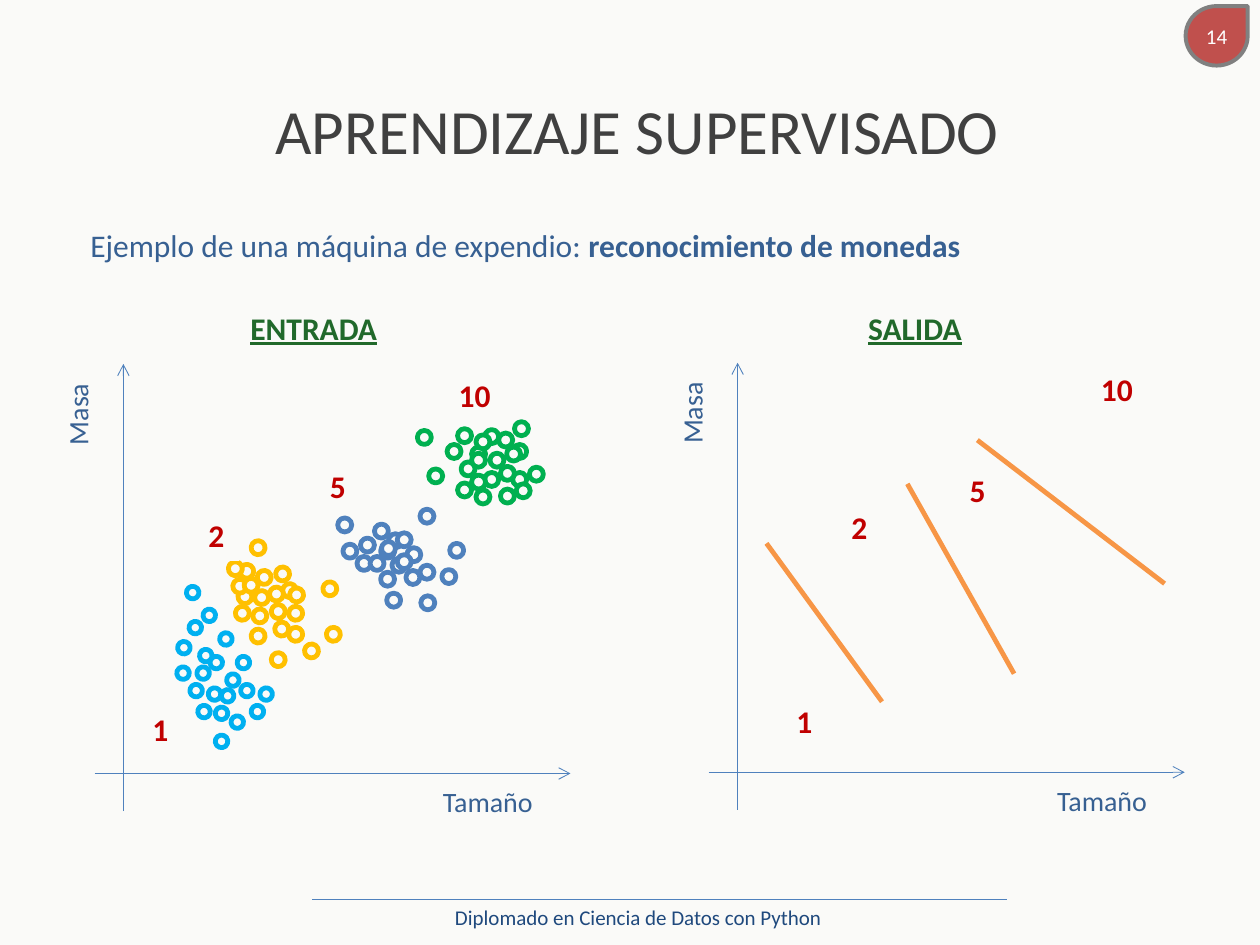
import pptx
import pptx.dml.color
import pptx.enum.shapes
import pptx.enum.text
import pptx.oxml
import pptx.oxml.ns
import pptx.util

Pt = pptx.util.Pt
RGBColor = pptx.dml.color.RGBColor
SHAPES = pptx.enum.shapes.MSO_SHAPE
ALIGN = pptx.enum.text.PP_ALIGN
ANCHOR = pptx.enum.text.MSO_ANCHOR
qn = pptx.oxml.ns.qn

FONT = "Calibri"
PAPER = RGBColor(0xFA, 0xFA, 0xF8)
WHITE = RGBColor(0xFF, 0xFF, 0xFF)
GRAY = RGBColor(0x80, 0x80, 0x80)
CHARCOAL = RGBColor(0x40, 0x40, 0x40)
NAVY = RGBColor(0x1F, 0x49, 0x7D)
STEEL = RGBColor(0x37, 0x60, 0x92)
BLUE = RGBColor(0x4F, 0x81, 0xBD)
SKY = RGBColor(0x00, 0xB0, 0xF0)
GOLD = RGBColor(0xFF, 0xC0, 0x00)
GREEN = RGBColor(0x00, 0xB0, 0x50)
FOREST = RGBColor(0x21, 0x69, 0x2B)
ORANGE = RGBColor(0xF7, 0x96, 0x46)
BRICK = RGBColor(0xC0, 0x50, 0x4D)
RED = RGBColor(0xC0, 0x00, 0x00)

# Coin clusters: colour, diameter, rotation, top-left corners
CLUSTERS = [
    (BLUE, 8, 0, [
        (224, 319), (222, 305), (217.5, 311), (217.5, 327), (232, 326), (240, 323),
        (232.5, 313), (196, 311), (214, 299.5), (204, 318), (193, 296), (206, 307.5),
        (257, 310.5), (221, 339), (240, 291), (218, 309.5), (211.5, 318), (227, 317),
        (227, 304.5), (240.5, 340.5), (252.5, 325.5)]),
    (GREEN, 8, 0, [
        (272, 280), (277, 245.5), (261.5, 276), (263.5, 264), (277, 270), (269.5, 255.5),
        (294, 241), (286, 279.5), (293, 270), (285, 247.5), (280, 259), (293, 254),
        (255.5, 254), (269.5, 259), (261.5, 245), (272, 248.5), (286, 266.5),
        (295, 276.5), (302.5, 267), (289.5, 255.5), (245, 268), (269.5, 271.5),
        (238.5, 246)]),
    (GOLD, 8, 36.5, [
        (155, 345.5), (161.5, 333.5), (154, 335.5), (144.5, 348), (157, 355.5),
        (165, 358.5), (165, 346.5), (137, 322.5), (157.5, 324), (136, 337),
        (143.5, 309), (147, 326), (186.5, 358.5), (143.5, 359.5), (184.5, 332.5),
        (134.5, 346.5), (145.5, 337.5), (133, 331), (165.5, 336), (155, 373),
        (174, 368), (130.5, 321), (139.5, 330.5)]),
    (SKY, 7.2, 229.9, [
        (119, 393), (112.5, 381), (143.5, 403), (129.5, 385), (120, 375), (114, 371),
        (101.5, 366.5), (132, 409), (113, 403), (148.5, 393), (123, 420), (123, 404),
        (106.5, 335), (135.5, 375), (101, 381), (137.5, 391), (126.5, 394), (108, 355),
        (108.5, 391), (125.5, 361.5), (116, 348)]),
]

# Coin values: text, left, top
INPUT_VALUES = [("1", 80, 402), ("2", 112, 291.5), ("5", 181.5, 263.5), ("10", 255, 211.5)]
OUTPUT_VALUES = [("1", 448, 397.5), ("2", 479.5, 287), ("5", 547, 265.5), ("10", 622, 208)]

# Lines that separate the coin classes: start, end
BOUNDARIES = [
    ((558.5, 251.5), (665.5, 333.5)),
    ((518.5, 276.5), (579.5, 385)),
    ((438, 310.5), (504, 401)),
]


def style(paragraph, size, color, bold=None, underline=None):
    font = paragraph.font
    font.name, font.size, font.bold, font.underline = FONT, Pt(size), bold, underline
    font.color.rgb = color


def add_label(slide, text, box, size, color, filled=True, vertical=False, **emphasis):
    label = slide.shapes.add_textbox(*map(Pt, box))
    if filled:
        label.fill.solid()
        label.fill.fore_color.rgb = PAPER
    if vertical:
        label.element.txBody.bodyPr.set("vert", "vert270")
    label.text_frame.word_wrap = False
    paragraph = label.text_frame.paragraphs[0]
    paragraph.text = text
    style(paragraph, size, color, **emphasis)
    return label


def add_line(slide, start, end, color, width, arrow=False):
    line = slide.shapes.add_connector(
        pptx.enum.shapes.MSO_CONNECTOR.STRAIGHT, *map(Pt, start + end))
    line.line.color.rgb = color
    line.line.width = Pt(width)
    properties = line.element.spPr
    if arrow:
        tail = pptx.oxml.ns.nsdecls("a")
        properties.find(qn("a:ln")).append(
            pptx.oxml.parse_xml(f'<a:tailEnd {tail} type="arrow"/>'))
    properties.append(properties.makeelement(qn("a:effectLst"), {}))


def add_outlined(slide, preset, box, fill, outline, width):
    figure = slide.shapes.add_shape(preset, *map(Pt, box))
    figure.shadow.inherit = False
    figure.fill.solid()
    figure.fill.fore_color.rgb = fill
    figure.line.color.rgb = outline
    figure.line.width = Pt(width)
    return figure


def add_axes(slide, dx=0, dy=0):
    x, y = 70.5 + dx, 442 + dy
    add_line(slide, (x, y + 21.5), (x, y - 234), BLUE, 0.5, arrow=True)
    add_line(slide, (x - 16.5, y), (x + 255.5, y), BLUE, 0.5, arrow=True)
    add_label(slide, "Masa", (x - 39.5, y - 223, 34, 42.5), 16, STEEL, vertical=True)
    add_label(slide, "Tamaño", (x + 175.5, y + 3, 66, 26.5), 16, STEEL)


def add_coins(slide):
    for color, diameter, rotation, corners in CLUSTERS:
        for left, top in corners:
            coin = add_outlined(slide, SHAPES.OVAL, (left, top, diameter, diameter),
                                PAPER, color, 2.75)
            coin.rotation = rotation


def add_values(slide, values):
    for text, left, top in values:
        width = 16 + 8.5 * len(text)
        add_label(slide, text, (left, top, width, 29), 18, RED, bold=True)


def add_title(slide):
    title = slide.shapes.title
    title.left, title.top, title.width, title.height = map(Pt, (80.5, 54, 567.5, 57))
    title.text_frame.vertical_anchor = ANCHOR.TOP
    heading = title.text_frame.paragraphs[0]
    heading.text = "APRENDIZAJE SUPERVISADO"
    heading.alignment = ALIGN.CENTER
    heading.line_spacing = 0.89
    style(heading, 36, CHARCOAL)


def add_page_number(slide):
    badge = add_outlined(slide, SHAPES.TEAR, (677.5, 3.5, 35.5, 34), BRICK, GRAY, 2.25)
    frame = badge.text_frame
    frame.margin_left = frame.margin_right = frame.margin_top = frame.margin_bottom = Pt(3)
    frame.vertical_anchor = ANCHOR.MIDDLE
    number = frame.paragraphs[0]
    number.text = "14"
    number.alignment = ALIGN.CENTER
    style(number, 12, WHITE)


def add_footer(slide):
    footer = add_label(slide, "Diplomado en Ciencia de Datos con Python",
                       (81.5, 508.5, 566.5, 31.5), 12, NAVY, filled=False)
    footer.text_frame.word_wrap = True
    footer.text_frame.vertical_anchor = ANCHOR.MIDDLE
    footer.text_frame.paragraphs[0].alignment = ALIGN.CENTER


def main():
    deck = pptx.Presentation()
    deck.slide_width, deck.slide_height = Pt(720), Pt(540)
    slide = deck.slides.add_slide(deck.slide_layouts[5])
    slide.background.fill.solid()
    slide.background.fill.fore_color.rgb = PAPER

    # Header
    add_line(slide, (178.5, 514), (575.5, 514), BLUE, 0.5)
    add_page_number(slide)
    add_title(slide)
    example = add_label(slide, "Ejemplo de una máquina de expendio: ",
                        (44.5, 125.5, 517, 29), 18, STEEL, filled=False)
    topic = example.text_frame.paragraphs[0].add_run()
    topic.text = "reconocimiento de monedas"
    topic.font.bold = True

    # Input: measured coins
    add_label(slide, "ENTRADA", (136, 173, 88, 29), 18, FOREST, filled=False,
              bold=True, underline=True)
    add_axes(slide)
    add_coins(slide)
    add_values(slide, INPUT_VALUES)

    # Output: class boundaries
    for start, end in BOUNDARIES:
        add_line(slide, start, end, ORANGE, 2.75)
    add_axes(slide, dx=351, dy=-0.7)
    add_values(slide, OUTPUT_VALUES)
    add_label(slide, "SALIDA", (489, 173, 68.5, 29), 18, FOREST,
              bold=True, underline=True)

    add_footer(slide)
    deck.save("out.pptx")


if __name__ == "__main__":
    main()
